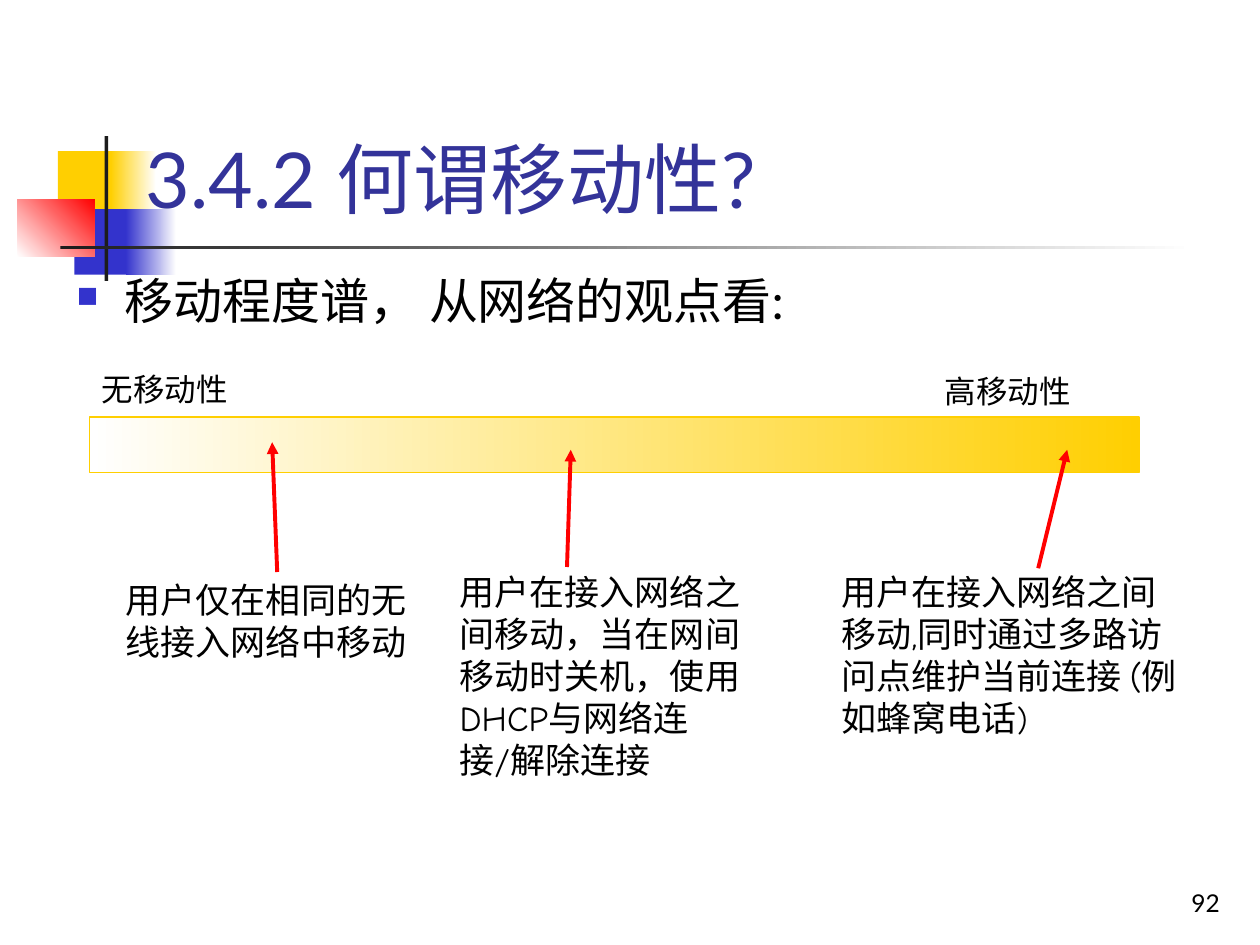
from lxml import etree
from pptx import Presentation
from pptx.dml.color import RGBColor
from pptx.enum.shapes import MSO_CONNECTOR, MSO_SHAPE
from pptx.enum.text import MSO_ANCHOR, PP_ALIGN
from pptx.oxml.ns import qn
from pptx.util import Inches, Pt

RECT = MSO_SHAPE.RECTANGLE
LINE = MSO_CONNECTOR.STRAIGHT
TOP, BOTTOM = MSO_ANCHOR.TOP, MSO_ANCHOR.BOTTOM
LEFT, RIGHT = PP_ALIGN.LEFT, PP_ALIGN.RIGHT

WHITE = RGBColor(0xFF, 0xFF, 0xFF)
BLACK = RGBColor(0, 0, 0)
GOLD = RGBColor(0xFF, 0xCF, 0x01)
BLUE = RGBColor(0x33, 0x33, 0xCC)
NAVY = RGBColor(0x33, 0x33, 0x99)
RED = RGBColor(0xFF, 0, 0)
DARK = RGBColor(0x1C, 0x1C, 0x1C)


class Painter:
    head = "Lato"
    note = "Comic Neue"

    def __init__(self, slide):
        self.shapes = slide.shapes

    def block(self, at, color, end=None, angle=0, line=None):
        """Rectangle, solid or fading from color to end."""
        box = self.shapes.add_shape(RECT, *map(Inches, at))
        box.shadow.inherit = False
        if end is None:
            box.fill.solid()
            box.fill.fore_color.rgb = color
        else:
            box.fill.gradient()
            box.fill.gradient_angle = angle
            for stop, tone in zip(box.fill.gradient_stops, (color, end)):
                stop.color.rgb = tone
        if line is None:
            box.line.fill.background()
        else:
            box.line.color.rgb = line
            box.line.width = Pt(0.75)

    def text(self, at, lines, size, font=note, color=BLACK, wrap=True,
             anchor=TOP, align=LEFT, bullet=None):
        frame = self.shapes.add_textbox(*map(Inches, at)).text_frame
        frame.word_wrap = wrap
        frame.vertical_anchor = anchor
        frame.text = lines
        for para in frame.paragraphs:
            if bullet is not None:
                self.bullet(para, bullet)
            para.alignment = align
            para.font.size = Pt(size)
            para.font.name = font
            para.font.color.rgb = color
        return frame.paragraphs[-1]

    def bullet(self, para, color):
        props = para._p.get_or_add_pPr()
        props.set("marL", str(Inches(0.38)))
        props.set("indent", str(-Inches(0.38)))
        tint = etree.SubElement(props, qn("a:buClr"))
        etree.SubElement(tint, qn("a:srgbClr"), val=str(color))
        etree.SubElement(props, qn("a:buSzPct"), val="60000")
        etree.SubElement(props, qn("a:buChar"), char="■")

    def arrow(self, start, end):
        link = self.shapes.add_connector(LINE, *map(Inches, start + end))
        link.line.color.rgb = RED
        link.line.width = Pt(2.25)
        etree.SubElement(link.line._get_or_add_ln(), qn("a:tailEnd"),
                         type="triangle")
        etree.SubElement(link._element.spPr, qn("a:effectLst"))


def main():
    deck = Presentation()
    deck.slide_width, deck.slide_height = Inches(10), Inches(7.5)
    pen = Painter(deck.slides.add_slide(deck.slide_layouts[6]))

    # Corner squares and rules
    pen.block((0.46, 1.2, 0.48, 0.52), GOLD)
    pen.block((0.88, 1.2, 0.36, 0.52), GOLD, WHITE)
    pen.block((0.59, 1.66, 0.46, 0.52), BLUE)
    pen.block((1, 1.66, 0.4, 0.52), BLUE, WHITE)
    pen.block((0.14, 1.58, 0.61, 0.46), WHITE, RED, angle=45)
    pen.block((0.83, 1.08, 0.03, 1.15), DARK)
    pen.block((0.48, 1.95, 9, 0.03), DARK, WHITE)

    pen.text((1.06, 0.23, 8.72, 1.6), "3.4.2 何谓移动性?", 44, pen.head,
             NAVY, anchor=BOTTOM)
    pen.text((0.51, 2.1, 8.97, 0.63), "移动程度谱， 从网络的观点看:", 28,
             pen.head, bullet=BLUE)

    # Mobility scale
    pen.block((0.71, 3.31, 8.33, 0.44), WHITE, GOLD, line=GOLD)
    pen.text((0.71, 2.89, 1.2, 0.4), "无移动性", 18, wrap=False)
    pen.text((7.4, 2.9, 1.2, 0.4), "高移动性", 18, wrap=False)

    pen.text((0.9, 4.54, 2.5, 0.77), "用户仅在相同的无\n线接入网络中移动", 20)
    pen.text((3.55, 4.48, 2.66, 1.77),
             "用户在接入网络之间移动，当在网间移动时关机，"
             "使用DHCP与网络连接/解除连接", 20)
    high = pen.text((6.58, 4.48, 2.94, 1.44),
                    "用户在接入网络之间移动,同时通过多路访问点维护当前连接 "
                    "(例如蜂窝电话", 20)
    close = high.add_run()
    close.text = ")"
    close.font.size = Pt(18)

    for start, end in (((2.2, 4.54), (2.16, 3.51)),
                       ((4.5, 4.5), (4.53, 3.57)),
                       ((8.24, 4.51), (8.47, 3.57))):
        pen.arrow(start, end)

    pen.text((7.7, 6.83, 2.08, 0.5), "92", 14, pen.head, anchor=BOTTOM,
             align=RIGHT)
    deck.save("out.pptx")


if __name__ == "__main__":
    main()
